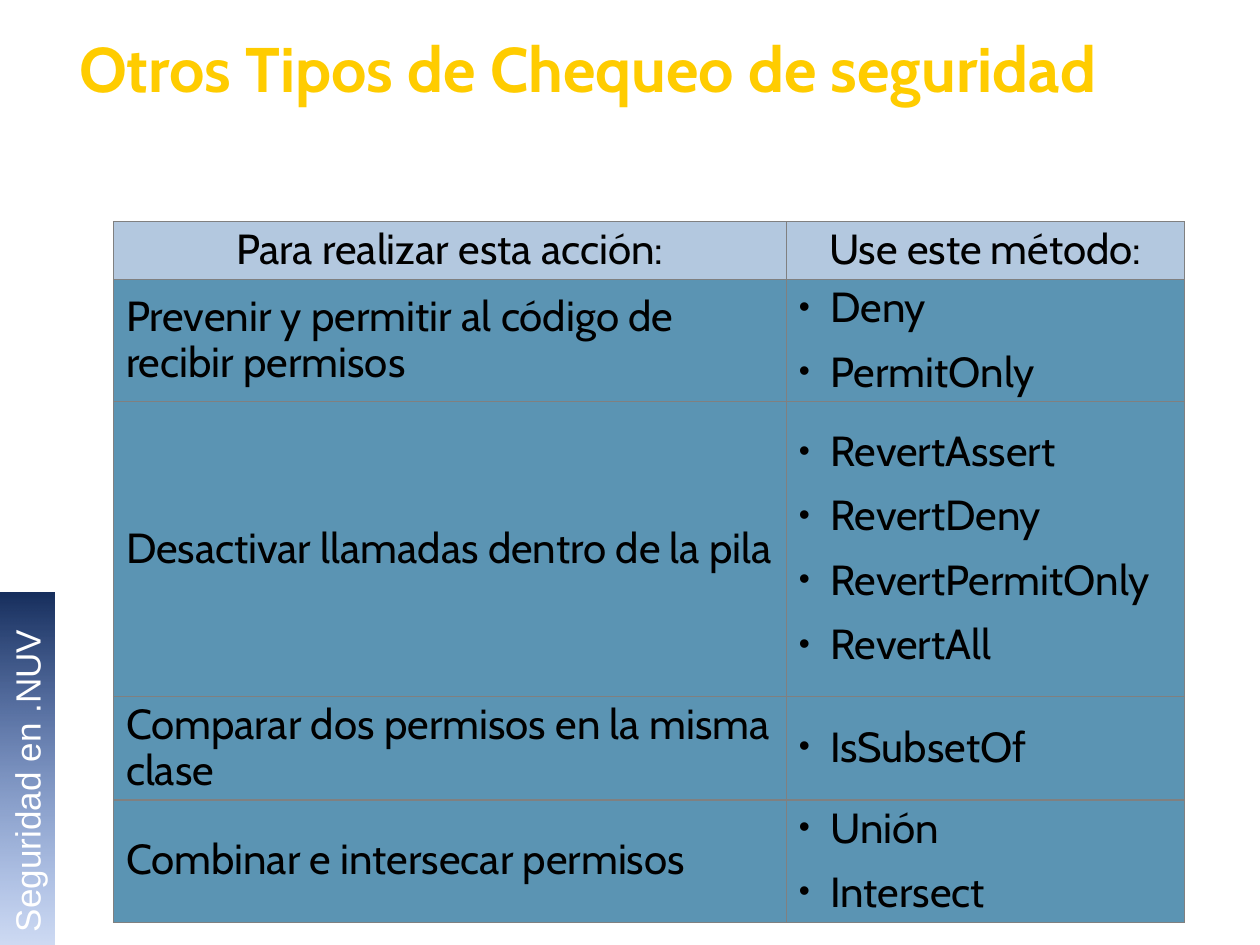
from lxml.etree import SubElement
from pptx import Presentation
from pptx.dml.color import RGBColor
from pptx.enum.shapes import MSO_SHAPE
from pptx.enum.text import MSO_ANCHOR, PP_ALIGN
from pptx.oxml.ns import qn
from pptx.util import Inches, Pt


def rgb(value):
    return RGBColor.from_string(value)


def add_child(parent, tag, **attributes):
    return SubElement(parent, qn(tag), attributes)


def write(paragraph, text, font="Cabin", size=24, color="000000", bold=False,
          align=PP_ALIGN.LEFT, spacing=0.9, before=0, bullet=False):
    paragraph.alignment = align
    paragraph.line_spacing = spacing
    paragraph.space_before = Pt(before)
    if bullet:
        props = paragraph._p.get_or_add_pPr()
        props.set("marL", str(Inches(0.25)))
        props.set("indent", str(Inches(-0.25)))
        add_child(add_child(props, "a:buClr"), "a:srgbClr", val=color)
        add_child(props, "a:buSzPct", val="75000")
        add_child(props, "a:buFont", typeface="Arial")
        add_child(props, "a:buChar", char="•")
    run = paragraph.add_run()
    run.text = text
    run.font.name = font
    run.font.size = Pt(size)
    run.font.bold = bold
    run.font.color.rgb = rgb(color)


class SlideBuilder:
    """Holds the style and the current slide, with a method per element."""

    title_color = "FFCC00"
    header_fill = "B3C8DF"
    body_fill = "5B94B3"
    border_color = "808080"

    def __init__(self, slide):
        self.slide = slide

    def title(self, text, left, top, width, height):
        box = self.slide.shapes.add_textbox(
            Inches(left), Inches(top), Inches(width), Inches(height))
        frame = box.text_frame
        frame.word_wrap = True
        frame.margin_left = Inches(0.21)
        write(frame.paragraphs[0], text, size=36, color=self.title_color, bold=True)

    def cell(self, cell, lines, fill, **style):
        cell.vertical_anchor = MSO_ANCHOR.MIDDLE
        props = cell._tc.get_or_add_tcPr()
        for side in "LRTB":
            border = add_child(props, f"a:ln{side}", w=str(Pt(0.75)))
            solid = add_child(border, "a:solidFill")
            add_child(solid, "a:srgbClr", val=self.border_color)
        cell.fill.solid()
        cell.fill.fore_color.rgb = rgb(fill)
        frame = cell.text_frame
        for index, line in enumerate(lines):
            paragraph = frame.add_paragraph() if index else frame.paragraphs[0]
            write(paragraph, line, before=10.5 if index else 0, **style)

    def table(self, headings, methods_by_action, left, top, widths, heights):
        table = self.slide.shapes.add_table(
            len(heights), len(widths), Inches(left), Inches(top),
            Inches(sum(widths)), Inches(sum(heights))).table
        for column, width in zip(table.columns, widths):
            column.width = Inches(width)
        for row, height in zip(table.rows, heights):
            row.height = Inches(height)
        for column, heading in enumerate(headings):
            self.cell(table.cell(0, column), [heading], self.header_fill,
                      align=PP_ALIGN.CENTER)
        for row, (action, methods) in enumerate(methods_by_action.items(), 1):
            self.cell(table.cell(row, 0), [action], self.body_fill)
            self.cell(table.cell(row, 1), methods, self.body_fill, bullet=True)

    def side_banner(self, text, left, top, width, height):
        banner = self.slide.shapes.add_shape(
            MSO_SHAPE.RECTANGLE, Inches(left), Inches(top), Inches(width), Inches(height))
        banner.rotation = 270
        banner.shadow.inherit = False
        banner.line.fill.background()
        banner.fill.gradient()
        banner.fill.gradient_angle = 0
        pale, dark = banner.fill.gradient_stops
        pale.color.rgb = rgb("3366CC")
        dark.color.rgb = rgb("172F5E")
        pale_color = banner._element.spPr.find(".//" + qn("a:srgbClr"))
        add_child(pale_color, "a:alpha", val="24000")
        frame = banner.text_frame
        frame.word_wrap = True
        frame.vertical_anchor = MSO_ANCHOR.TOP
        write(frame.paragraphs[0], text, font="Arial", size=20, color="FFFFFF", spacing=1.0)


def main():
    deck = Presentation()
    deck.slide_width, deck.slide_height = Inches(10), Inches(7.5)
    builder = SlideBuilder(deck.slides.add_slide(deck.slide_layouts[6]))
    builder.title("Otros Tipos de Chequeo de seguridad", 0.42, 0.25, 9.37, 1.18)
    methods_by_action = {
        "Prevenir y permitir al código de recibir permisos": ["Deny", "PermitOnly"],
        "Desactivar llamadas dentro de la pila": [
            "RevertAssert", "RevertDeny", "RevertPermitOnly", "RevertAll"],
        "Comparar dos permisos en la misma clase": ["IsSubsetOf"],
        "Combinar e intersecar permisos": ["Unión", "Intersect"],
    }
    builder.table(["Para realizar esta acción:", "Use este método:"], methods_by_action,
                  0.9, 1.76, [5.34, 3.16], [0.46, 0.97, 2.34, 0.82, 0.97])
    builder.side_banner("Seguridad en .NUV", -1.18, 5.88, 2.79, 0.44)
    deck.save("out.pptx")


if __name__ == "__main__":
    main()
